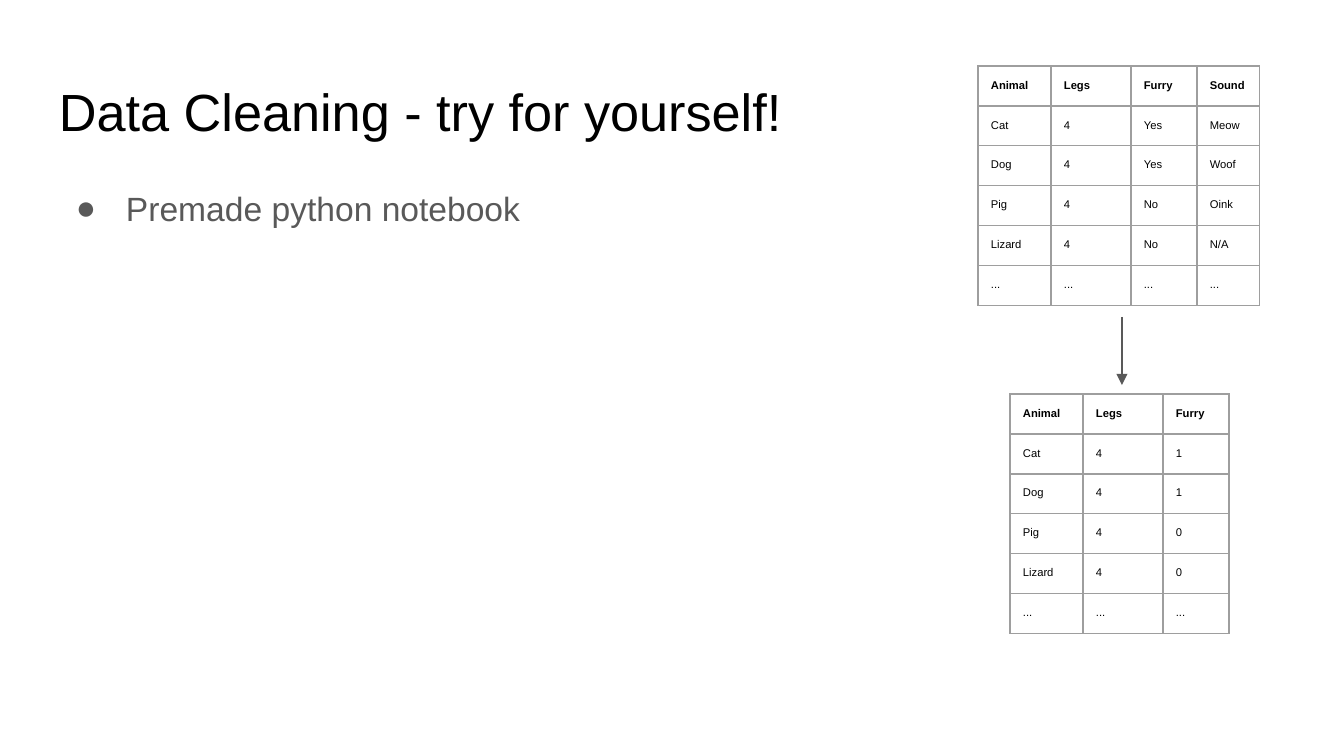
from dataclasses import dataclass

from lxml import etree
from pptx import Presentation
from pptx.dml.color import RGBColor
from pptx.enum.shapes import MSO_CONNECTOR
from pptx.oxml.ns import qn
from pptx.util import Pt

STRAIGHT = MSO_CONNECTOR.STRAIGHT
EMU_PER_PX = 6803.57  # 134.4 px to the inch


def px(n):
    return round(n * EMU_PER_PX)


@dataclass(frozen=True)
class Theme:
    font: str = "Arial"
    ink: str = "000000"
    muted: str = "595959"
    grid: str = "9E9E9E"
    title_size: float = 28
    body_size: float = 18
    cell_size: float = 6
    line_width: float = 0.75
    inset: int = 13
    row_height: int = 40


class SlideBuilder:
    def __init__(self, prs, theme):
        self.theme = theme
        self.s = prs.slides.add_slide(prs.slide_layouts[6])

    def style(self, p, size, color, bold=False):
        for r in p.runs:
            r.font.name = self.theme.font
            r.font.size = Pt(size)
            r.font.bold = bold
            r.font.color.rgb = RGBColor.from_string(color)

    def inset(self, box):
        """Set equal margins on a text frame or a table cell."""
        box.margin_left = box.margin_right = px(self.theme.inset)
        box.margin_top = box.margin_bottom = px(self.theme.inset)

    def text(self, x, y, w, h, text, size, color):
        tf = self.s.shapes.add_textbox(px(x), px(y), px(w), px(h)).text_frame
        tf.word_wrap = True
        self.inset(tf)
        tf.text = text
        p = tf.paragraphs[0]
        self.style(p, size, color)
        return p

    def bullet(self, x, y, w, h, text):
        t = self.theme
        p = self.text(x, y, w, h, text, t.body_size, t.muted)
        p.line_spacing = 1.15
        pPr = p._p.get_or_add_pPr()
        pPr.set("marL", str(px(67)))
        pPr.set("indent", str(-px(50)))
        color = etree.SubElement(pPr, qn("a:buClr"))
        etree.SubElement(color, qn("a:srgbClr"), val=t.muted)
        etree.SubElement(pPr, qn("a:buFont"), typeface=t.font)
        etree.SubElement(pPr, qn("a:buChar"), char="●")

    def borders(self, cell):
        tcPr = cell._tc.get_or_add_tcPr()
        for side in ("lnL", "lnR", "lnT", "lnB"):
            ln = etree.SubElement(tcPr, qn(f"a:{side}"), w=str(Pt(self.theme.line_width)))
            fill = etree.SubElement(ln, qn("a:solidFill"))
            etree.SubElement(fill, qn("a:srgbClr"), val=self.theme.grid)

    def table(self, x, y, widths, rows):
        t = self.theme
        table = self.s.shapes.add_table(
            len(rows), len(widths), px(x), px(y),
            px(sum(widths)), px(t.row_height * len(rows))).table
        table.first_row = table.horz_banding = False
        for column, width in zip(table.columns, widths):
            column.width = px(width)
        for i, values in enumerate(rows):
            table.rows[i].height = px(t.row_height)
            for j, value in enumerate(values):
                cell = table.cell(i, j)
                cell.text_frame.text = value
                self.inset(cell)
                self.style(cell.text_frame.paragraphs[0], t.cell_size, t.ink, bold=i == 0)
                self.borders(cell)
                cell.fill.background()

    def arrow(self, x1, y1, x2, y2):
        c = self.s.shapes.add_connector(STRAIGHT, px(x1), px(y1), px(x2), px(y2))
        c.line.color.rgb = RGBColor.from_string(self.theme.muted)
        c.line.width = Pt(self.theme.line_width)
        etree.SubElement(c.line._get_or_add_ln(), qn("a:tailEnd"),
                         type="triangle", w="med", len="med")
        etree.SubElement(c._element.spPr, qn("a:effectLst"))


RAW_ROWS = [
    ("Animal", "Legs", "Furry", "Sound"),
    ("Cat", "4", "Yes", "Meow"),
    ("Dog", "4", "Yes", "Woof"),
    ("Pig", "4", "No", "Oink"),
    ("Lizard", "4", "No", "N/A"),
    ("...", "...", "...", "..."),
]
FURRY_CODES = {"Yes": "1", "No": "0"}
COLUMN_WIDTHS = [73, 80, 66, 63]


def main():
    prs = Presentation()
    prs.slide_width, prs.slide_height = px(1344), px(756)
    theme = Theme()
    slide = SlideBuilder(prs, theme)

    slide.text(46, 66, 1252, 85, "Data Cleaning - try for yourself!",
               theme.title_size, theme.ink)
    slide.bullet(46, 169, 1252, 503, "Premade python notebook")

    clean_rows = [(animal, legs, FURRY_CODES.get(furry, furry))
                  for animal, legs, furry, _ in RAW_ROWS]
    slide.table(978, 66, COLUMN_WIDTHS, RAW_ROWS)
    slide.table(1010, 394, COLUMN_WIDTHS[:3], clean_rows)
    slide.arrow(1122, 317, 1122, 385)

    prs.save("out.pptx")


if __name__ == "__main__":
    main()
